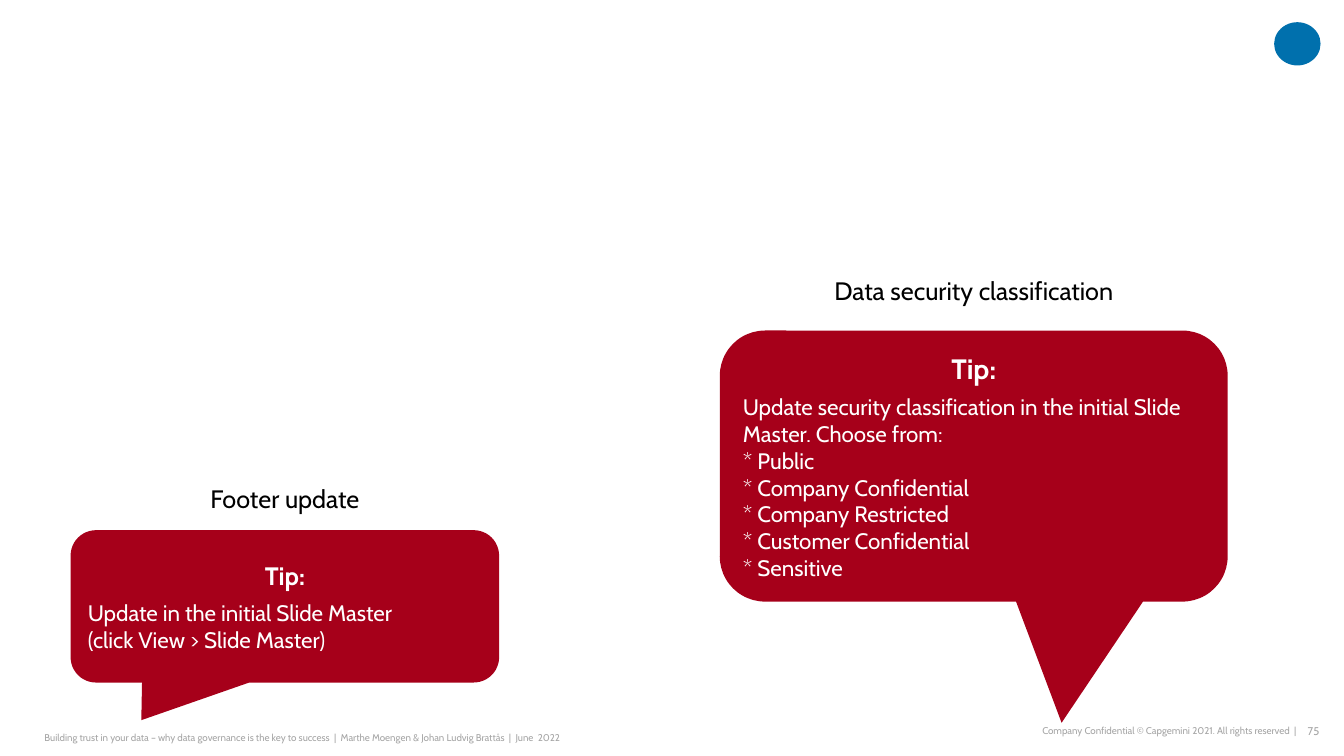
from dataclasses import dataclass

from pptx import Presentation
from pptx.dml.color import RGBColor
from pptx.enum import shapes, text
from pptx.util import Cm, Pt


@dataclass(frozen=True)
class Theme:
    font: str = "Cabin"
    callout: str = "A6001A"
    callout_text: str = "FFFFFF"
    heading_text: str = "000000"
    footer_text: str = "A6A6A6"
    emblem: str = "0070AD"
    heading_size: int = 18
    body_size: int = 16
    footer_size: int = 7
    number_size: int = 8


THEME = Theme()
ALIGN = text.PP_ALIGN
ANCHOR = text.MSO_ANCHOR


@dataclass(frozen=True)
class Box:
    """Position and size in centimetres."""
    left: float
    top: float
    width: float
    height: float

    def emu(self):
        return [Cm(side) for side in (self.left, self.top, self.width, self.height)]


def format_paragraph(paragraph, size, color, align=ALIGN.LEFT, bold=False):
    paragraph.alignment = align
    for run in paragraph.runs:
        run.font.name = THEME.font
        run.font.size = Pt(size)
        run.font.bold = bold
        run.font.color.rgb = RGBColor.from_string(color)


def fill_plain(shape, color):
    shape.shadow.inherit = False
    shape.fill.solid()
    shape.fill.fore_color.rgb = RGBColor.from_string(color)
    shape.line.fill.background()


def add_label(slide, box, wording, size, color, align):
    frame = slide.shapes.add_textbox(*box.emu()).text_frame
    frame.word_wrap = True
    frame.text = wording
    format_paragraph(frame.paragraphs[0], size, color, align)
    return frame


def add_tip(slide, box, heading, heading_rise, tip_size, pointer, lines):
    """Speech callout filling the box, with its heading centred above it."""
    callout = slide.shapes.add_shape(
        shapes.MSO_SHAPE.ROUNDED_RECTANGULAR_CALLOUT, *box.emu())
    callout.adjustments[0], callout.adjustments[1] = pointer
    callout.adjustments[2] = 0.167
    fill_plain(callout, THEME.callout)

    frame = callout.text_frame
    frame.word_wrap = True
    frame.vertical_anchor = ANCHOR.MIDDLE
    frame.text = "\n".join(["Tip:", *lines])
    title, *body = frame.paragraphs
    title.space_after = Pt(6)
    format_paragraph(title, tip_size, THEME.callout_text, ALIGN.CENTER, bold=True)
    for paragraph in body:
        format_paragraph(paragraph, THEME.body_size, THEME.callout_text)

    heading_box = Box(box.left, box.top - heading_rise, box.width, 1.02)
    add_label(slide, heading_box, heading, THEME.heading_size,
              THEME.heading_text, ALIGN.CENTER)


def add_footer(slide, box):
    legal_height = 0.61
    legal_right = box.width - 0.58
    parts = [
        (Box(box.left, box.top, 15.42, box.height), THEME.footer_size, ALIGN.LEFT,
         "Building trust in your data – why data governance is the key to success"
         "\u00a0 |\u00a0 Marthe Moengen & Johan Ludvig Brattås\u00a0 |\u00a0 June\u00a0 2022"
         .replace("\u00a0", " ")),
        (Box(box.left + legal_right - 12.6, box.top, 12.6, legal_height),
         THEME.footer_size, ALIGN.RIGHT,
         "Company Confidential © Capgemini 2021. All rights reserved  |"),
        (Box(box.left + box.width - 0.64, box.top, 0.64, legal_height),
         THEME.number_size, ALIGN.RIGHT, "75"),
    ]
    for part, size, align, wording in parts:
        frame = add_label(slide, part, wording, size, THEME.footer_text, align)
        frame.vertical_anchor = ANCHOR.MIDDLE
        frame.margin_left = frame.margin_right = 0
        frame.margin_top = frame.margin_bottom = 0


def add_emblem(slide, box):
    emblem = slide.shapes.add_shape(shapes.MSO_SHAPE.OVAL, *box.emu())
    fill_plain(emblem, THEME.emblem)


def main():
    presentation = Presentation()
    presentation.slide_width = Cm(33.87)
    presentation.slide_height = Cm(19.05)
    slide = presentation.slides.add_slide(presentation.slide_layouts[6])

    add_emblem(slide, Box(32.11, 0.56, 1.17, 1.09))
    add_footer(slide, Box(1.12, 18.11, 32.13, 0.94))
    add_tip(slide, Box(1.78, 13.36, 10.8, 3.84), "Footer update", 1.3, 18,
            (-0.335, 0.747),
            ["Update in the initial Slide Master", "(click View > Slide Master)"])
    add_tip(slide, Box(18.14, 8.33, 12.8, 6.83), "Data security classification",
            1.52, 20, (0.173, 0.947),
            ["Update security classification in the initial Slide Master. Choose from:",
             "* Public", "* Company Confidential", "* Company Restricted",
             "* Customer Confidential", "* Sensitive"])

    presentation.save("out.pptx")


if __name__ == "__main__":
    main()
